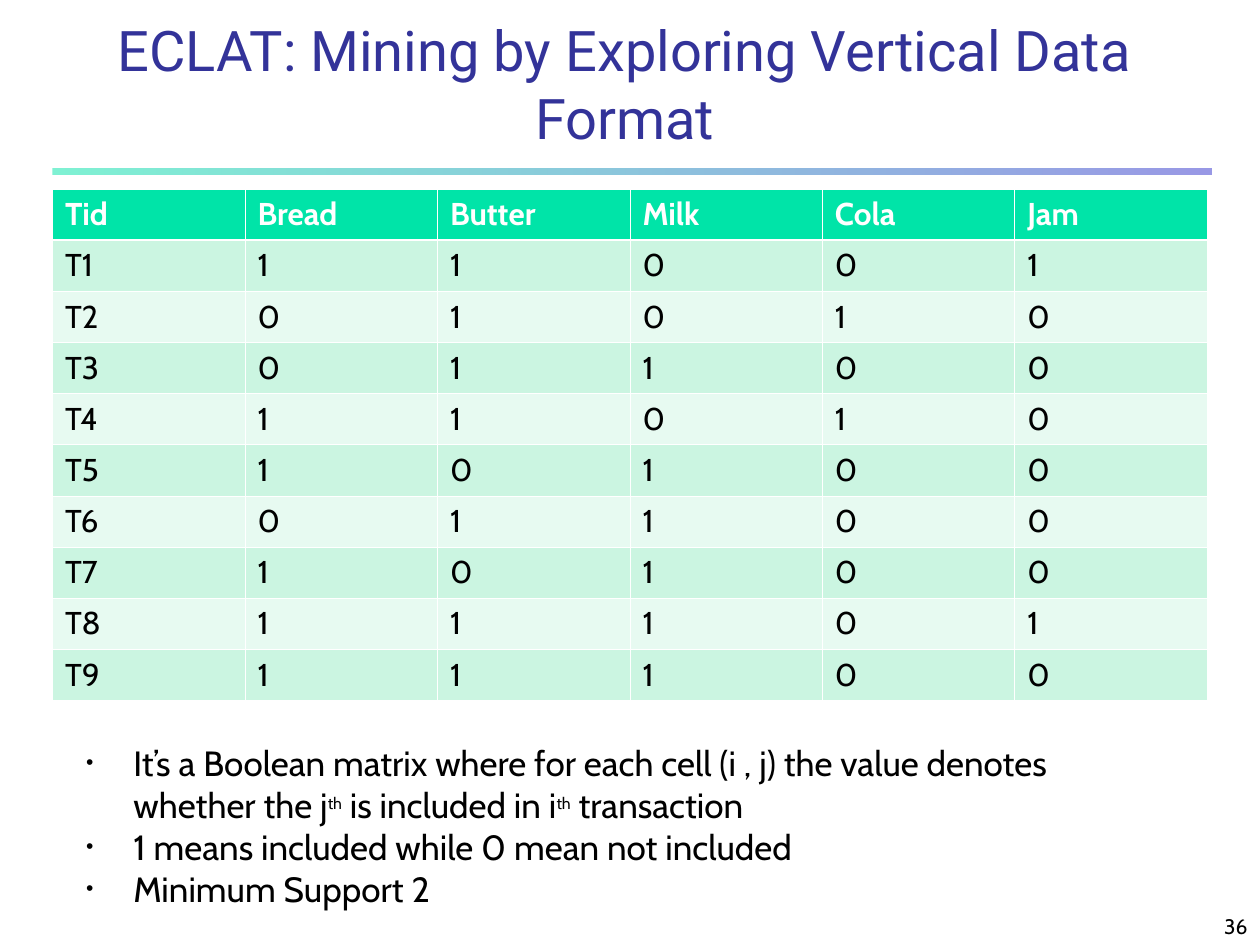
from dataclasses import dataclass

from lxml import etree
from pptx import Presentation
from pptx.dml.color import RGBColor
from pptx.enum.shapes import MSO_SHAPE
from pptx.enum.text import MSO_ANCHOR, MSO_AUTO_SIZE, PP_ALIGN
from pptx.oxml.ns import qn
from pptx.util import Pt

RECT = MSO_SHAPE.RECTANGLE
BOTTOM, TOP = MSO_ANCHOR.BOTTOM, MSO_ANCHOR.TOP
LEFT, CENTER, RIGHT = PP_ALIGN.LEFT, PP_ALIGN.CENTER, PP_ALIGN.RIGHT
NO_FIT = MSO_AUTO_SIZE.NONE


@dataclass(frozen=True)
class Theme:
    title: str = "333399"
    text: str = "000000"
    white: str = "FFFFFF"
    green: str = "00E4A8"
    blue: str = "3333CC"
    bands: tuple = ("CBF5E1", "E7FAF1")
    title_font: str = "Roboto"
    body_font: str = "Cabin"
    title_size: int = 32
    body_size: int = 20
    super_size: int = 16
    table_size: int = 18
    number_size: int = 12


T = Theme()


def add_text(p, text, *, size, color=T.text, font=T.body_font, bold=False,
             align=LEFT, superscript=False):
    p.alignment = align
    r = p.add_run()
    r.text = text
    r.font.size, r.font.name, r.font.bold = Pt(size), font, bold
    r.font.color.rgb = RGBColor.from_string(color)
    if superscript:
        r.font._element.set("baseline", "30000")


def add_border(cell, side, width):
    ln = etree.SubElement(cell._tc.get_or_add_tcPr(), qn(f"a:ln{side}"), w=str(Pt(width)))
    fill = etree.SubElement(ln, qn("a:solidFill"))
    etree.SubElement(fill, qn("a:srgbClr"), val=T.white)


prs = Presentation()
prs.slide_width, prs.slide_height = Pt(720), Pt(540)
s = prs.slides.add_slide(prs.slide_layouts[1])
title, body = s.placeholders

# Title
title.left, title.top, title.width, title.height = Pt(6), Pt(8), Pt(702), Pt(80)
tf = title.text_frame
tf.auto_size, tf.vertical_anchor = NO_FIT, BOTTOM
tf.margin_top = tf.margin_bottom = Pt(2)
add_text(tf.paragraphs[0], "ECLAT: Mining by Exploring Vertical Data Format",
         size=T.title_size, color=T.title, font=T.title_font, align=CENTER)

# Gradient rule under the title
rule = s.shapes.add_shape(RECT, Pt(30), Pt(96), Pt(662.5), Pt(4))
rule.shadow.inherit = False
rule.line.fill.background()
rule.fill.gradient()
rule.fill.gradient_angle = 0
for stop, color, position in zip(rule.fill.gradient_stops, (T.green, T.blue), (0, 1)):
    stop.color.rgb = RGBColor.from_string(color)
    stop.position = position
for clr in rule._element.spPr.iter(qn("a:srgbClr")):
    etree.SubElement(clr, qn("a:alpha"), val="50000")

# Transaction matrix
header = ["Tid", "Bread", "Butter", "Milk", "Cola", "Jam"]
matrix = ["11001", "01010", "01100", "11010", "10100",
          "01100", "10100", "11101", "11100"]
rows = [header] + [[f"T{i}", *bits] for i, bits in enumerate(matrix, 1)]
table = s.shapes.add_table(len(rows), len(header), Pt(30), Pt(108),
                           Pt(660), Pt(292.5)).table
table.first_row = table.horz_banding = False
for col in table.columns:
    col.width = Pt(110)
for i, values in enumerate(rows):
    table.rows[i].height = Pt(29.25)
    for j, value in enumerate(values):
        cell = table.cell(i, j)
        for side in "LRTB":
            under_header = (i, side) in ((0, "B"), (1, "T"))
            add_border(cell, side, 1.47 if under_header else 0.45)
        cell.fill.solid()
        cell.fill.fore_color.rgb = RGBColor.from_string(
            T.bands[(i - 1) % 2] if i else T.green)
        add_text(cell.text_frame.paragraphs[0], value, size=T.table_size,
                 color=T.text if i else T.white, bold=i == 0)

# Notes on the matrix; every second piece of a line is superscript
notes = [
    ["It’s a Boolean matrix where for each cell (i , j) the value denotes whether the j",
     "th", " is included in i", "th", " transaction"],
    ["1 means included while 0 mean not included"],
    ["Minimum Support 2"],
]
body.left, body.top, body.width, body.height = Pt(42), Pt(420), Pt(630), Pt(104)
tf = body.text_frame
tf.auto_size, tf.vertical_anchor = NO_FIT, TOP
for i, pieces in enumerate(notes):
    p = tf.add_paragraph() if i else tf.paragraphs[0]
    pPr = p._p.get_or_add_pPr()
    pPr.set("marL", str(Pt(27)))
    pPr.set("indent", str(Pt(-27)))
    bullet_color = etree.SubElement(pPr, qn("a:buClr"))
    etree.SubElement(bullet_color, qn("a:srgbClr"), val=T.text)
    etree.SubElement(pPr, qn("a:buSzPct"), val="60000")
    etree.SubElement(pPr, qn("a:buChar"), char="•")
    p.space_before = Pt(0)
    for k, piece in enumerate(pieces):
        raised = k % 2 == 1
        add_text(p, piece, size=T.super_size if raised else T.body_size,
                 superscript=raised)

# Slide number
number = s.shapes.add_textbox(Pt(570), Pt(510), Pt(150), Pt(30))
tf = number.text_frame
tf.word_wrap, tf.vertical_anchor = True, BOTTOM
add_text(tf.paragraphs[0], "36", size=T.number_size, align=RIGHT)

prs.save("out.pptx")
